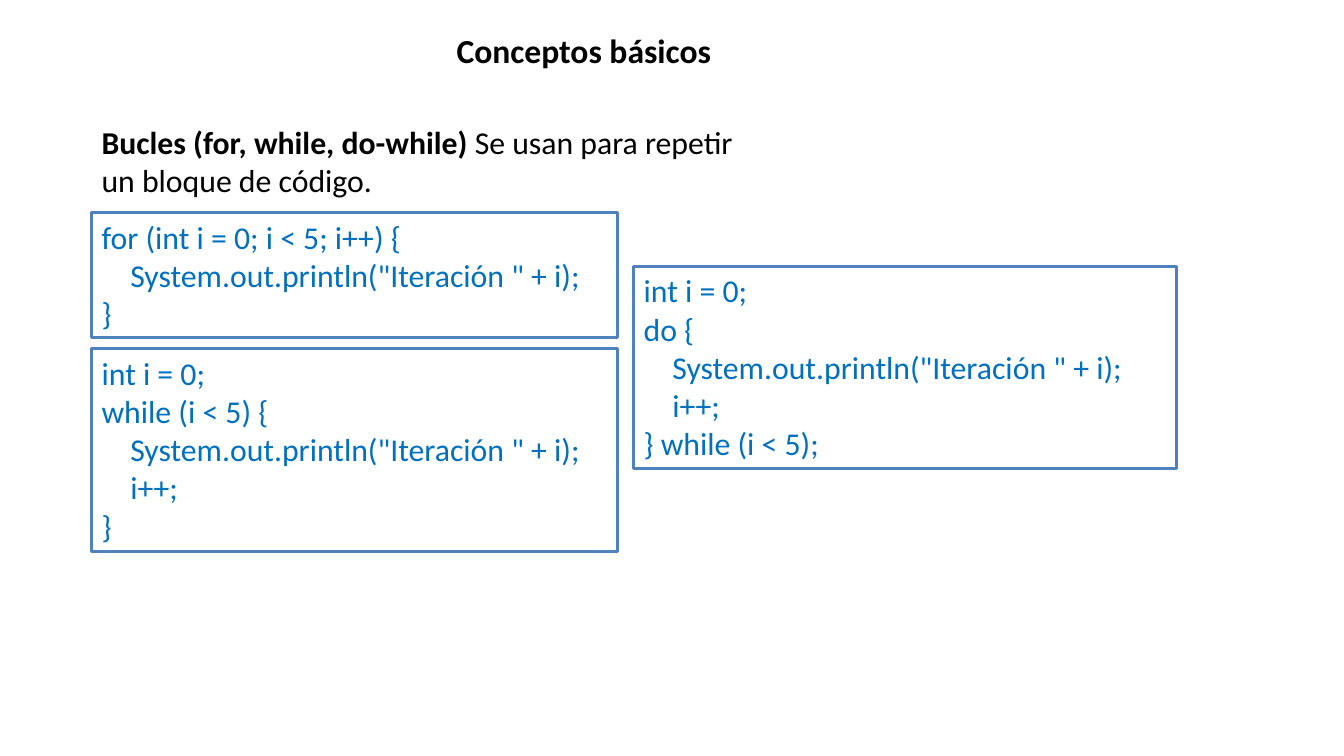
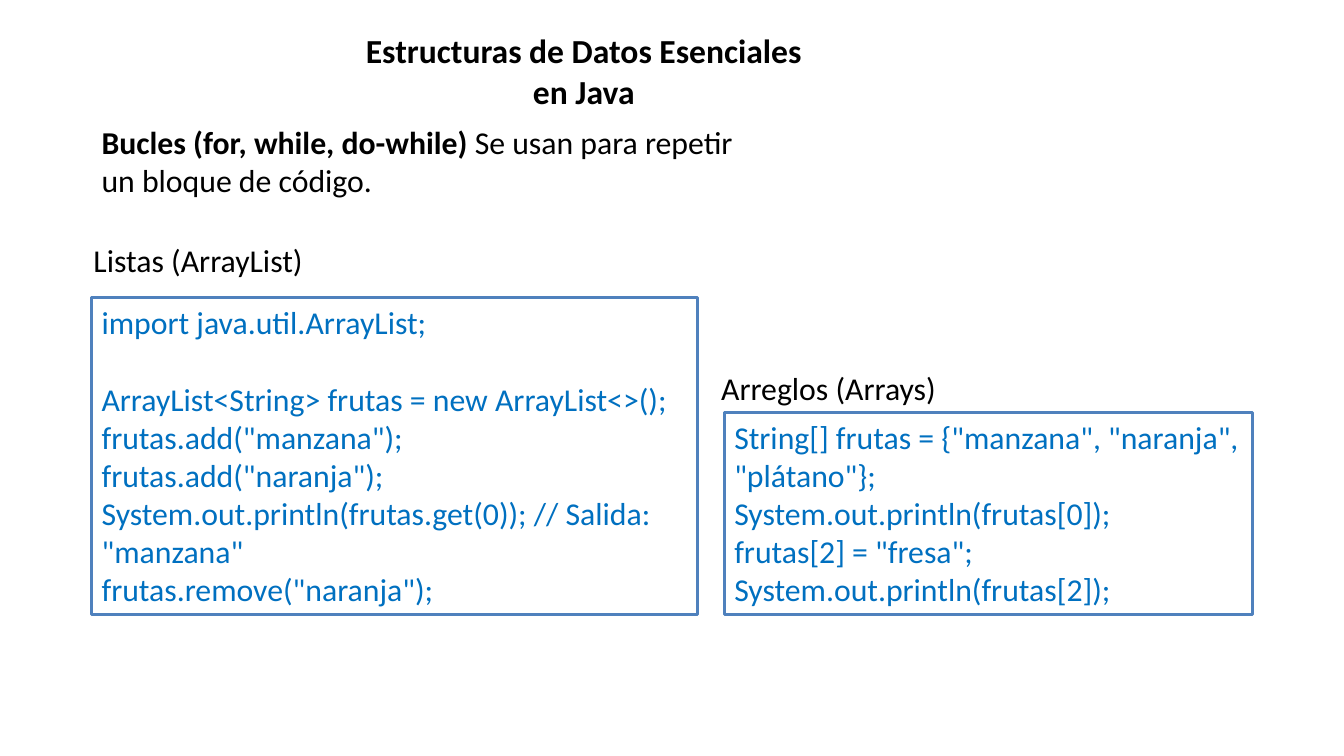
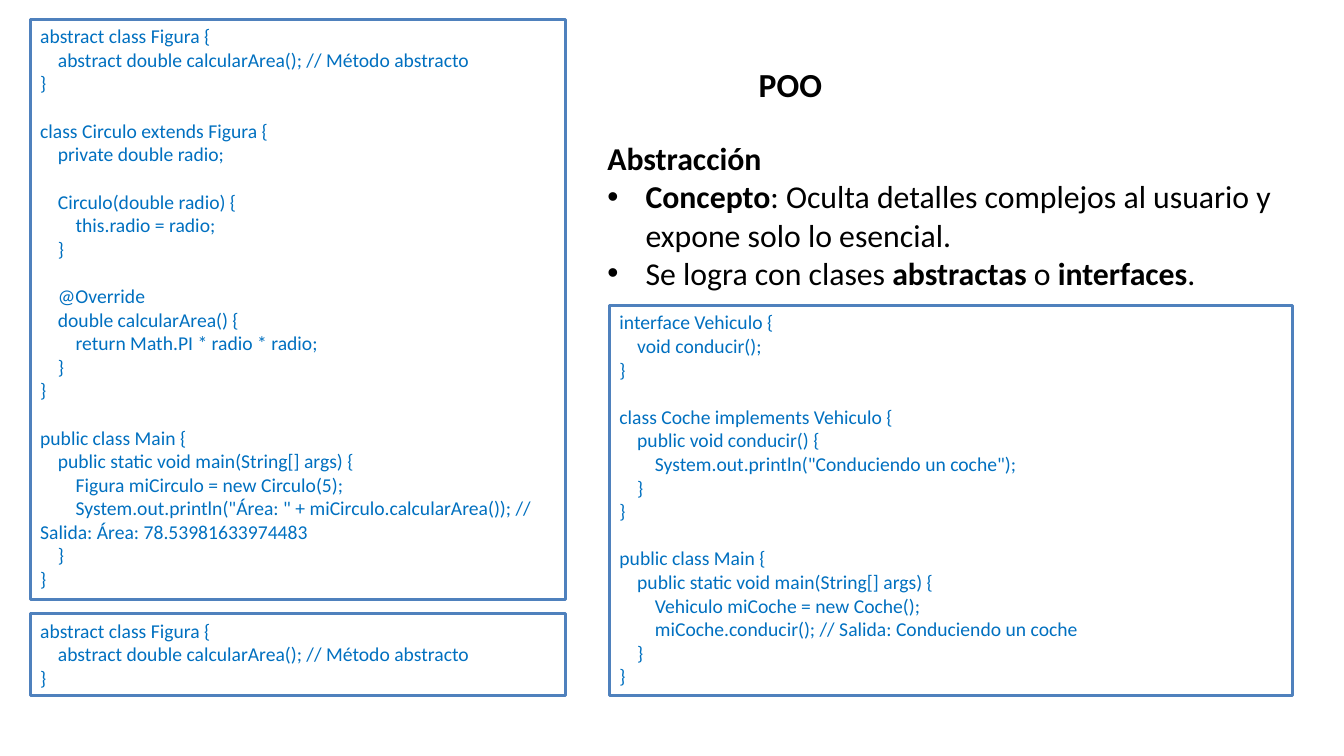
from pptx import Presentation
from pptx.dml.color import RGBColor
from pptx.enum.shapes import MSO_SHAPE
from pptx.enum.text import MSO_ANCHOR, MSO_AUTO_SIZE, PP_ALIGN
from pptx.oxml.ns import qn
from pptx.util import Inches, Pt
from lxml.etree import SubElement

BLACK, WHITE = "000000", "FFFFFF"
CODE_BLUE, BORDER_BLUE = "0070C0", "4F81BD"
FONT = "Calibri"
TITLE_SIZE, BODY_SIZE, SMALL_CODE_SIZE = 24, 22.7, 14
LINE_HEIGHT = 1.22
BULLET = "• "


def rgb(value):
    return RGBColor.from_string(value)


def write(frame, text, size, colour, bold=None, align=PP_ALIGN.LEFT):
    frame.word_wrap = True
    frame.auto_size = MSO_AUTO_SIZE.NONE
    frame.vertical_anchor = MSO_ANCHOR.TOP
    paragraph = None
    gap = 0
    for line in text.strip().split("\n"):
        if not line:
            gap += size * LINE_HEIGHT
            continue
        paragraph = frame.add_paragraph() if paragraph else frame.paragraphs[0]
        paragraph.alignment = align
        if gap:
            paragraph.space_before = Pt(gap)
            gap = 0
        if line.startswith(BULLET):
            line = line.removeprefix(BULLET)
            properties = paragraph._p.get_or_add_pPr()
            properties.set("marL", str(Inches(0.38)))
            properties.set("indent", str(-Inches(0.38)))
            SubElement(properties, qn("a:buFont")).set("typeface", "Arial")
            SubElement(properties, qn("a:buChar")).set("char", BULLET.strip())
        paragraph.font.name = FONT
        paragraph.font.size = Pt(size)
        paragraph.font.bold = bold
        paragraph.font.color.rgb = rgb(colour)
        for index, part in enumerate(line.split("**")):
            if part:
                run = paragraph.add_run()
                run.text = part
                if index % 2:
                    run.font.bold = True


LOOPS_INTRO = (
    (0.91, 1.17, 6.67, 0.86),
    "**Bucles (for, while, do-while)** Se usan para repetir un bloque de código.",
)

FOR_CODE = """
for (int i = 0; i < 5; i++) {
    System.out.println("Iteración " + i);
}
"""

WHILE_CODE = """
int i = 0;
while (i < 5) {
    System.out.println("Iteración " + i);
    i++;
}
"""

DO_WHILE_CODE = """
int i = 0;
do {
    System.out.println("Iteración " + i);
    i++;
} while (i < 5);
"""

LIST_CODE = """
import java.util.ArrayList;

ArrayList<String> frutas = new ArrayList<>();
frutas.add("manzana");
frutas.add("naranja");
System.out.println(frutas.get(0)); // Salida: "manzana"
frutas.remove("naranja");
"""

ARRAY_CODE = """
String[] frutas = {"manzana", "naranja", "plátano"};
System.out.println(frutas[0]);
frutas[2] = "fresa";
System.out.println(frutas[2]);
"""

ABSTRACTION = """
**Abstracción**
• **Concepto**: Oculta detalles complejos al usuario y expone solo lo esencial.
• Se logra con clases **abstractas** o **interfaces**.
"""

ABSTRACT_CLASS_CODE = """
abstract class Figura {
    abstract double calcularArea(); // Método abstracto
}
"""

CIRCLE_CODE = ABSTRACT_CLASS_CODE + """
class Circulo extends Figura {
    private double radio;

    Circulo(double radio) {
        this.radio = radio;
    }

    @Override
    double calcularArea() {
        return Math.PI * radio * radio;
    }
}

public class Main {
    public static void main(String[] args) {
        Figura miCirculo = new Circulo(5);
        System.out.println("Área: " + miCirculo.calcularArea()); // Salida: Área: 78.53981633974483
    }
}
"""

INTERFACE_CODE = """
interface Vehiculo {
    void conducir();
}

class Coche implements Vehiculo {
    public void conducir() {
        System.out.println("Conduciendo un coche");
    }
}

public class Main {
    public static void main(String[] args) {
        Vehiculo miCoche = new Coche();
        miCoche.conducir(); // Salida: Conduciendo un coche
    }
}
"""

LESSONS = [
    {
        "title": ((3.53, 0.25, 4.53, 0.5), "Conceptos básicos"),
        "notes": [LOOPS_INTRO],
        "code_size": BODY_SIZE,
        "code": [
            ((0.91, 2.11, 5.22, 1.24), FOR_CODE),
            ((0.91, 3.46, 5.22, 2.01), WHILE_CODE),
            ((6.29, 2.64, 5.39, 2.01), DO_WHILE_CODE),
        ],
    },
    {
        "title": ((3.53, 0.25, 4.53, 0.91), "Estructuras de Datos Esenciales en Java"),
        "notes": [
            LOOPS_INTRO,
            ((0.83, 2.34, 2.43, 0.48), "Listas (ArrayList)"),
            ((7.06, 3.61, 2.75, 0.48), "Arreglos (Arrays)"),
        ],
        "code_size": BODY_SIZE,
        "code": [
            ((0.91, 2.95, 6.01, 3.15), LIST_CODE),
            ((7.19, 4.09, 5.24, 2.01), ARRAY_CODE),
        ],
    },
    {
        "title": ((7.21, 0.58, 1.27, 0.5), "POO"),
        "notes": [((5.93, 1.33, 7.41, 1.63), ABSTRACTION)],
        "code_size": SMALL_CODE_SIZE,
        "code": [
            ((0.3, 0.19, 5.31, 5.76), CIRCLE_CODE),
            ((0.3, 6.09, 5.31, 0.81), ABSTRACT_CLASS_CODE),
            ((6.05, 3.03, 6.78, 3.87), INTERFACE_CODE),
        ],
    },
]

deck = Presentation()
deck.slide_width = Inches(13.34)
deck.slide_height = Inches(7.5)

for lesson in LESSONS:
    slide = deck.slides.add_slide(deck.slide_layouts[5])

    place, heading = lesson["title"]
    title = slide.shapes.title
    title.left, title.top, title.width, title.height = map(Inches, place)
    write(title.text_frame, heading, TITLE_SIZE, BLACK, True, PP_ALIGN.CENTER)

    for place, text in lesson["notes"]:
        note = slide.shapes.add_textbox(*map(Inches, place))
        write(note.text_frame, text, BODY_SIZE, BLACK)

    for place, code in lesson["code"]:
        listing = slide.shapes.add_shape(MSO_SHAPE.RECTANGLE, *map(Inches, place))
        listing.shadow.inherit = False
        listing.fill.solid()
        listing.fill.fore_color.rgb = rgb(WHITE)
        listing.line.color.rgb = rgb(BORDER_BLUE)
        listing.line.width = Pt(2)
        write(listing.text_frame, code, lesson["code_size"], CODE_BLUE)

deck.save("out.pptx")
